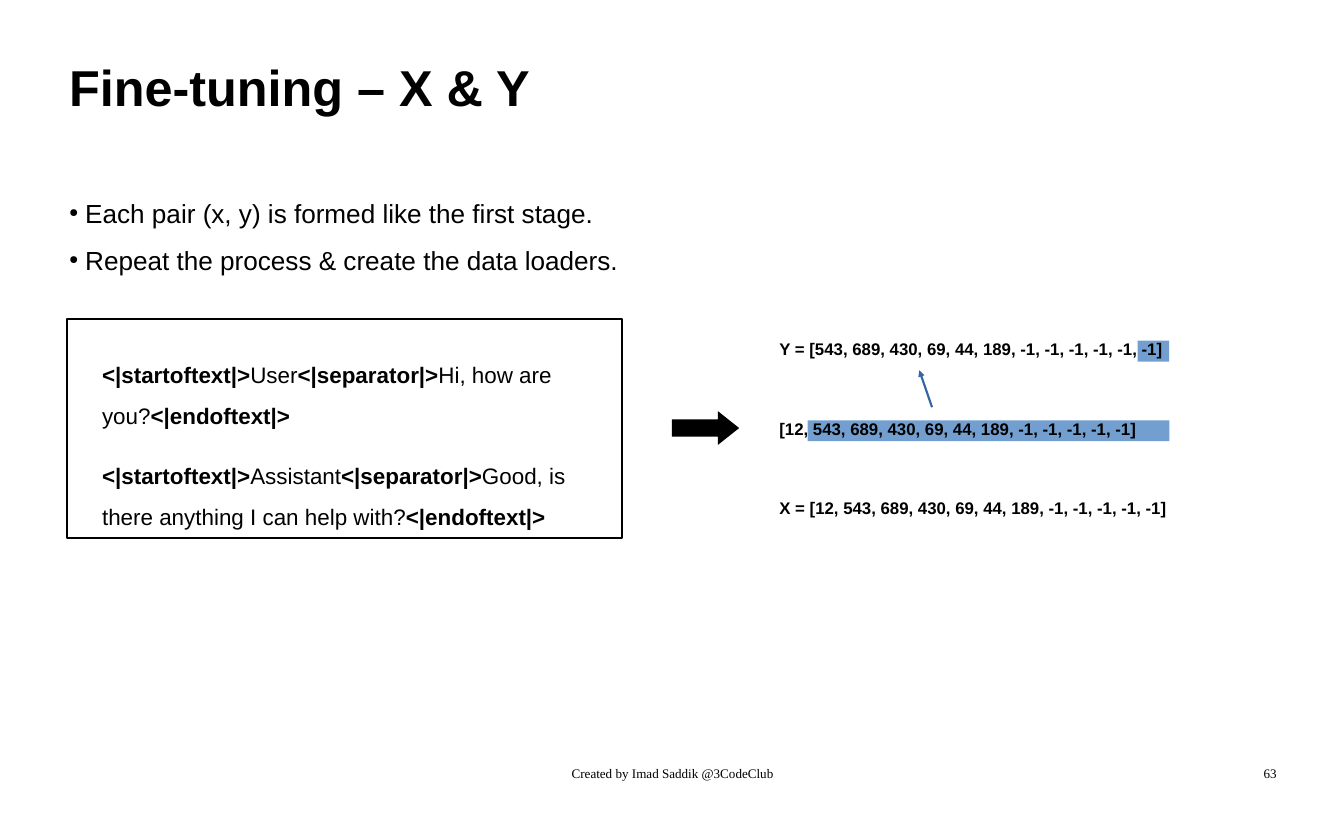
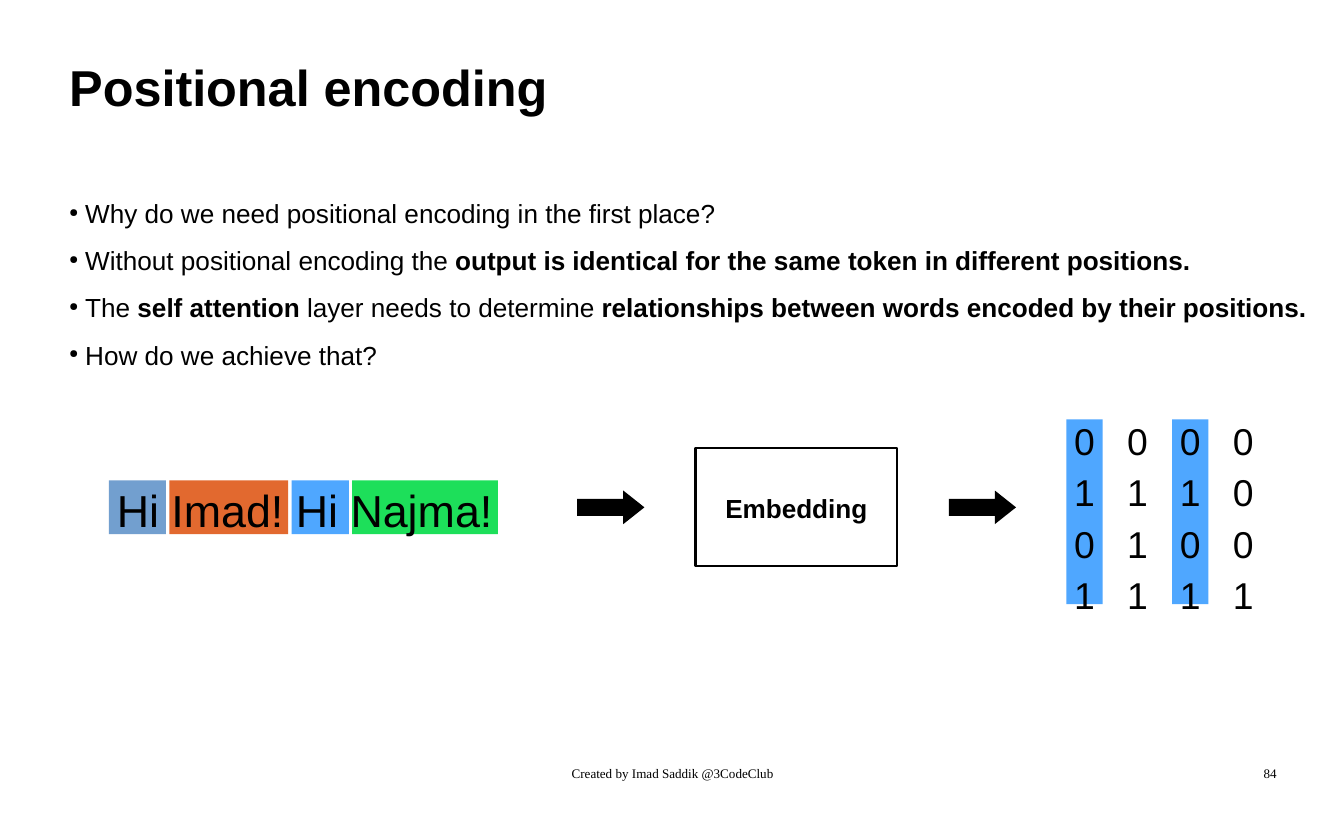
import dataclasses

import lxml.etree
import pptx
import pptx.dml.color
import pptx.enum.shapes
import pptx.enum.text
import pptx.oxml.ns
import pptx.util

COLUMNS, ROWS = 20, 12.5
CELL = pptx.util.Inches(1)

BLACK = "000000"
STEEL = "729FCF"
SKY = "4FA7FF"
ORANGE = "E2692F"
GREEN = "1DDF5A"
NAVY = "3465A4"
OUTLINE = 2.3

ALIGN = pptx.enum.text.PP_ALIGN
ANCHOR = pptx.enum.text.MSO_ANCHOR
SHAPE = pptx.enum.shapes.MSO_SHAPE


@dataclasses.dataclass
class Box:
    left: float
    top: float
    width: float
    height: float

    def inner(self, left, top, width, height):
        return Box(self.left + left, self.top + top, width, height)

    def lengths(self):
        return [round(length * CELL) for length in dataclasses.astuple(self)]


def color(value):
    return pptx.dml.color.RGBColor.from_string(value)


def add_element(parent, tag, **attributes):
    return lxml.etree.SubElement(parent, pptx.oxml.ns.qn(tag), attributes)


def add_bullet(para):
    para_format = para._p.get_or_add_pPr()
    indent = round(0.24 * CELL)
    para_format.set("marL", str(indent))
    para_format.set("indent", str(-indent))
    add_element(add_element(para_format, "a:buClr"), "a:srgbClr", val=BLACK)
    add_element(para_format, "a:buSzPct", val="45000")
    add_element(para_format, "a:buChar", char="●")


def write(frame, text, size=28, font="Arial", bold=False, align=ALIGN.LEFT,
          anchor=ANCHOR.TOP, margins=(0.1, 0.05), spacing=1.0, before=0,
          after=0, bullet=False):
    frame.word_wrap = True
    frame.auto_size = pptx.enum.text.MSO_AUTO_SIZE.NONE
    frame.vertical_anchor = anchor
    side, edge = (round(margin * CELL) for margin in margins)
    frame.margin_left = frame.margin_right = side
    frame.margin_top = frame.margin_bottom = edge
    for index, line in enumerate(text.split("\n")):
        para = frame.add_paragraph() if index else frame.paragraphs[0]
        if bullet:
            add_bullet(para)
        para.alignment = align
        para.line_spacing = spacing
        para.space_before = pptx.util.Pt(before if index else 0)
        para.space_after = pptx.util.Pt(after)
        for turn, words in enumerate(line.split("**")):
            if words:
                span = para.add_run()
                span.text = words
                span.font.name = font
                span.font.size = pptx.util.Pt(size)
                span.font.bold = bold != bool(turn % 2)
                span.font.color.rgb = color(BLACK)


def add_text(page, box, text, **text_format):
    write(page.shapes.add_textbox(*box.lengths()).text_frame, text, **text_format)


def add_shape(page, box, fill=None, line=None, kind=SHAPE.RECTANGLE):
    shape = page.shapes.add_shape(kind, *box.lengths())
    shape.shadow.inherit = False
    if fill:
        shape.fill.solid()
        shape.fill.fore_color.rgb = color(fill)
    else:
        shape.fill.background()
    if line:
        shape.line.color.rgb = color(line)
        shape.line.width = pptx.util.Pt(OUTLINE)
    else:
        shape.line.fill.background()
    return shape


def add_block_arrow(page, left, top):
    arrow = add_shape(page, Box(left, top, 1, 0.5), fill=BLACK,
                      kind=SHAPE.RIGHT_ARROW)
    arrow.adjustments[0] = 0.51
    arrow.adjustments[1] = 0.63


def add_thin_arrow(page, start, end):
    points = [round(length * CELL) for length in (*start, *end)]
    arrow = page.shapes.add_connector(
        pptx.enum.shapes.MSO_CONNECTOR.STRAIGHT, *points)
    arrow.line.color.rgb = color(NAVY)
    arrow.line.width = pptx.util.Pt(OUTLINE)
    add_element(arrow.line._get_or_add_ln(), "a:tailEnd", type="triangle")
    add_element(arrow._element.spPr, "a:effectLst")


def add_page(deck, title, number, bullets, bullet_width):
    page = deck.slides.add_slide(deck.slide_layouts[5])
    heading = page.shapes.title
    heading.left, heading.top, heading.width, heading.height = Box(
        0.93, 0.51, 12.82, 1.56).lengths()
    write(heading.text_frame, title, size=54, bold=True, anchor=ANCHOR.MIDDLE)
    lines = len(bullets.split("\n"))
    add_text(page, Box(0.93, 2.66, bullet_width, 0.1 + 0.65 * lines), bullets,
             spacing=1.5, bullet=True)
    footer = dict(size=14, font="Times New Roman", margins=(0, 0))
    add_text(page, Box(6.84, 11.39, 6.34, 0.86),
             "Created by Imad Saddik @3CodeClub", align=ALIGN.CENTER, **footer)
    add_text(page, Box(14.34, 11.39, 4.66, 0.86), str(number),
             align=ALIGN.RIGHT, **footer)
    return page


def add_conversation(page, box):
    add_shape(page, box, line=BLACK)
    add_text(page, box.inner(0.42, 0.38, 7.41, 2.49),
             "**<|startoftext|>**User**<|separator|>**Hi, how are you?"
             "**<|endoftext|>**\n"
             "**<|startoftext|>**Assistant**<|separator|>**Good, is there "
             "anything I can help with?**<|endoftext|>**",
             size=24, spacing=1.5, before=11.9, after=9.9)


def add_token_rows(page, box):
    shared = "543, 689, 430, 69, 44, 189, -1, -1, -1, -1, -1"
    rows = [(f"Y = [{shared}, -1]", 5.43),
            (f"[12, {shared}]", 0.52),
            (f"X = [12, {shared}]", None)]
    height, marked_end = 0.5, 5.9
    pitch = (box.height - height) / (len(rows) - 1)
    for index, (tokens, marked_start) in enumerate(rows):
        row = box.inner(0, index * pitch, box.width, height)
        if marked_start:
            add_shape(page, row.inner(marked_start, 0.13,
                                      marked_end - marked_start, 0.31), fill=STEEL)
        add_text(page, row, tokens, size=18, bold=True, align=ALIGN.JUSTIFY,
                 anchor=ANCHOR.MIDDLE)
    add_thin_arrow(page, (box.left + 2.37, box.top + 1.12),
                   (box.left + 2.18, box.top + 0.57))


def add_sentence(page, box):
    gap, left = 0.05, 0.37
    for width, fill in [(0.85, STEEL), (1.77, ORANGE), (0.85, SKY), (2.17, GREEN)]:
        add_shape(page, box.inner(left, 0.02, width, 0.8), fill=fill)
        left += width + gap
    add_text(page, box, "Hi Imad! Hi Najma!", size=48, align=ALIGN.CENTER)


def add_embedding(page, box):
    add_shape(page, box, line=BLACK)
    add_text(page, box.inner(0.25, 0.4, 2.5, 0.97), "Embedding", bold=True,
             align=ALIGN.CENTER, anchor=ANCHOR.MIDDLE)


def add_vectors(page, box):
    vectors = ["0101", "0111", "0101", "0001"]
    width = 0.5
    pitch = (box.width - width) / (len(vectors) - 1)
    for index, digits in enumerate(vectors):
        column = box.inner(index * pitch, 0, width, box.height)
        if digits == vectors[0]:
            add_shape(page, column.inner(-0.02, 0.17, 0.54, 2.75), fill=SKY)
        add_text(page, column, "\n".join(digits), size=40, align=ALIGN.CENTER,
                 spacing=1.15, margins=(0, 0.05))


def add_fine_tuning_page(deck):
    page = add_page(deck, "Fine-tuning – X & Y", 63,
                    "Each pair (x, y) is formed like the first stage.\n"
                    "Repeat the process & create the data loaders.", 14.82)
    add_conversation(page, Box(1, 4.75, 8.25, 3.25))
    add_block_arrow(page, 10, 6.12)
    add_token_rows(page, Box(11.5, 4.94, 6.5, 2.87))


def add_positional_encoding_page(deck):
    page = add_page(deck, "Positional encoding", 84,
                    "Why do we need positional encoding in the first place?\n"
                    "Without positional encoding the **output is identical for "
                    "the same token in different positions.**\n"
                    "The **self attention** layer needs to determine "
                    "**relationships between words encoded by their positions.**\n"
                    "How do we achieve that?", 18.82)
    add_sentence(page, Box(1.25, 7.13, 6.57, 0.84))
    add_embedding(page, Box(10.35, 6.67, 3, 1.75))
    for left in (8.59, 14.12):
        add_block_arrow(page, left, 7.3)
    add_vectors(page, Box(15.89, 6.07, 2.86, 2.95))


def main():
    deck = pptx.Presentation()
    deck.slide_width = round(COLUMNS * CELL)
    deck.slide_height = round(ROWS * CELL)
    add_fine_tuning_page(deck)
    add_positional_encoding_page(deck)
    deck.save("out.pptx")


if __name__ == "__main__":
    main()
